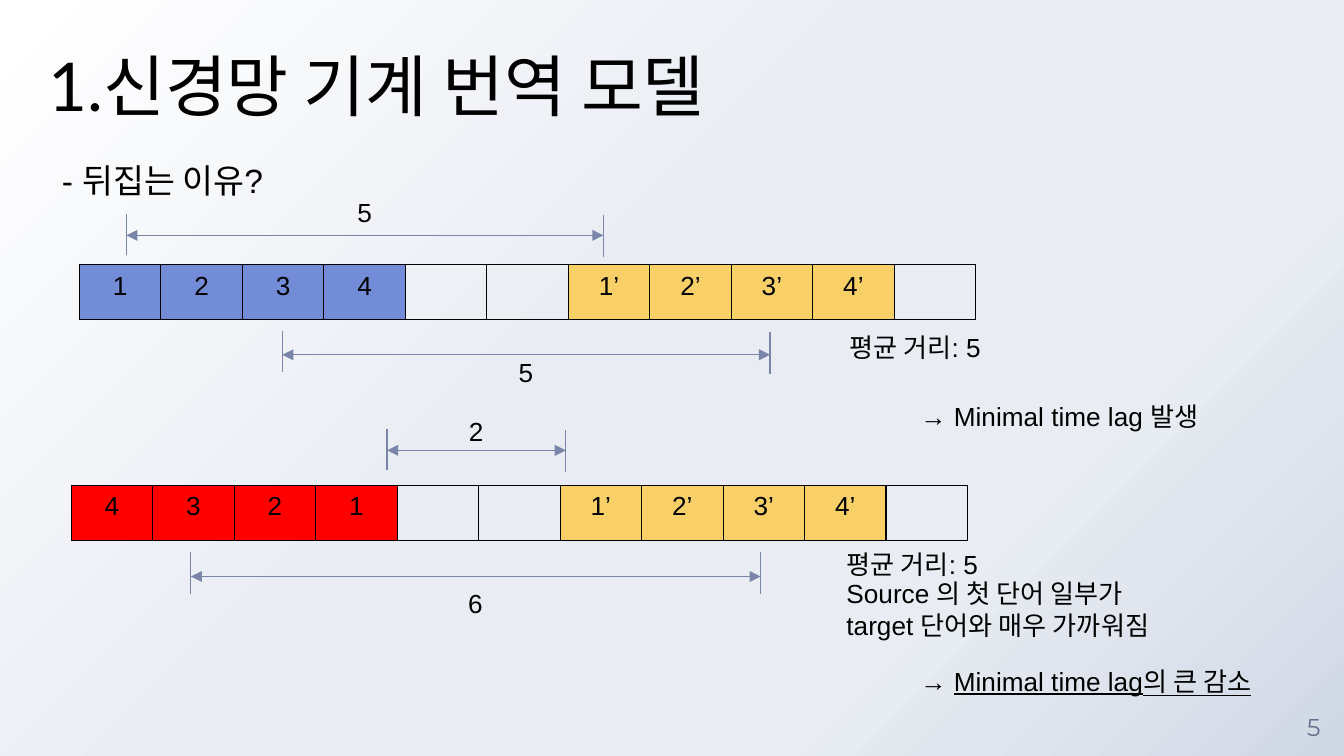
import dataclasses

import lxml.etree
import pptx
import pptx.dml.color
import pptx.enum.shapes
import pptx.enum.text
import pptx.oxml
import pptx.oxml.ns
import pptx.util

COLUMNS = 100  # square grid cells across the slide
SLIDE_WIDTH = pptx.util.Inches(10)
CELL = SLIDE_WIDTH // COLUMNS
ALIGN = pptx.enum.text.PP_ALIGN
ANCHOR = pptx.enum.text.MSO_ANCHOR
AUTO_SIZE = pptx.enum.text.MSO_AUTO_SIZE


@dataclasses.dataclass(frozen=True)
class Theme:
    ink: str = "000000"
    number: str = "68728D"
    rule: str = "7985A9"
    source: str = "728CD8"
    reversed_source: str = "FF0000"
    target: str = "F8D067"
    backdrop: tuple = ((0, "FFFFFF"), (44, "E9EDF3"), (72, "E9EDF3"), (100, "D0D8E5"))
    title_font: str = "Lato"
    text_font: str = "Arial"
    number_font: str = "Montserrat"
    title_size: int = 36
    lead_size: int = 18
    text_size: int = 14
    number_size: int = 13
    line_width: float = 0.75


THEME = Theme()


@dataclasses.dataclass(frozen=True)
class Box:
    """A rectangle in grid columns and rows."""
    left: float
    top: float
    width: float
    height: float

    def emu(self):
        return [round(value * CELL) for value in (self.left, self.top, self.width, self.height)]


def rgb(color):
    return pptx.dml.color.RGBColor.from_string(color)


def style(para, size=THEME.text_size, face=THEME.text_font, color=THEME.ink, align=ALIGN.LEFT):
    para.alignment = align
    para.font.size = pptx.util.Pt(size)
    para.font.name = face
    para.font.color.rgb = rgb(color)


def set_frame(frame, anchor, inset=None, auto_size=AUTO_SIZE.SHAPE_TO_FIT_TEXT):
    frame.word_wrap = True
    frame.auto_size = auto_size
    frame.vertical_anchor = anchor
    if inset is not None:
        frame.margin_left = frame.margin_right = inset
        frame.margin_top = frame.margin_bottom = inset


def add_text(page, box, *spans, underlined=()):
    frame = page.shapes.add_textbox(*box.emu()).text_frame
    set_frame(frame, ANCHOR.TOP)
    para = frame.paragraphs[0]
    for text in spans:
        span = para.add_run()
        span.text = text
        if text in underlined:
            span.font.underline = True
    style(para)


def paint_backdrop(page):
    page.background.fill.solid()
    stops = "".join(
        f'<a:gs pos="{share * 1000}"><a:srgbClr val="{color}"/></a:gs>'
        for share, color in THEME.backdrop)
    gradient = pptx.oxml.parse_xml(
        f'<a:gradFill {pptx.oxml.ns.nsdecls("a")} rotWithShape="1"><a:gsLst>{stops}</a:gsLst>'
        '<a:path path="circle"><a:fillToRect r="100000" b="100000"/></a:path>'
        '<a:tileRect/></a:gradFill>')
    solid = page.element.find(".//" + pptx.oxml.ns.qn("a:solidFill"))
    solid.getparent().replace(solid, gradient)


def fill_title(page, box, text):
    title = page.shapes.title
    title.left, title.top, title.width, title.height = box.emu()
    set_frame(title.text_frame, ANCHOR.BOTTOM, 0, AUTO_SIZE.NONE)
    title.text_frame.text = text
    style(title.text_frame.paragraphs[0], THEME.title_size, THEME.title_font)


def fill_lead(page, box, text):
    body = page.placeholders[1]
    body.left, body.top, body.width, body.height = box.emu()
    set_frame(body.text_frame, ANCHOR.TOP)
    body.text_frame.text = text
    para = body.text_frame.paragraphs[0]
    properties = para._p.get_or_add_pPr()
    properties.set("marL", "0")
    properties.set("indent", "0")
    lxml.etree.SubElement(properties, pptx.oxml.ns.qn("a:buNone"))
    para.space_before = pptx.util.Pt(0)
    style(para, THEME.lead_size)


def add_page_number(page, box, text):
    frame = page.shapes.add_textbox(*box.emu()).text_frame
    set_frame(frame, ANCHOR.MIDDLE, 0, AUTO_SIZE.NONE)
    frame.text = text
    style(frame.paragraphs[0], THEME.number_size, THEME.number_font, THEME.number, ALIGN.CENTER)


def border_cell(cell):
    properties = cell._tc.get_or_add_tcPr()
    for index, side in enumerate(("lnL", "lnR", "lnT", "lnB")):
        properties.insert(index, pptx.oxml.parse_xml(
            f'<a:{side} {pptx.oxml.ns.nsdecls("a")} w="{pptx.util.Pt(THEME.line_width)}">'
            f'<a:solidFill><a:srgbClr val="{THEME.ink}"/></a:solidFill></a:{side}>'))


def add_sequence(page, box, source, source_color):
    """Source words, two blanks, target words and a closing blank in one row."""
    target = ["1’", "2’", "3’", "4’"]
    words = [*source, "", "", *target, ""]
    fills = [source_color] * 4 + [None] * 2 + [THEME.target] * 4 + [None]
    table = page.shapes.add_table(1, len(words), *box.emu()).table
    table.first_row = table.horz_banding = False
    for cell, word, color in zip(table.iter_cells(), words, fills):
        if color:
            cell.fill.solid()
            cell.fill.fore_color.rgb = rgb(color)
        else:
            cell.fill.background()
        border_cell(cell)
        cell.text = word
        style(cell.text_frame.paragraphs[0], align=ALIGN.CENTER)


def add_line(page, start, end, arrows=False):
    points = [round(value * CELL) for value in (*start, *end)]
    line = page.shapes.add_connector(pptx.enum.shapes.MSO_CONNECTOR.STRAIGHT, *points)
    line.line.color.rgb = rgb(THEME.rule)
    line.line.width = pptx.util.Pt(THEME.line_width)
    if arrows:
        outline = line.line._get_or_add_ln()
        for tip in ("a:headEnd", "a:tailEnd"):
            lxml.etree.SubElement(outline, pptx.oxml.ns.qn(tip), type="triangle")
    lxml.etree.SubElement(line._element.spPr, pptx.oxml.ns.qn("a:effectLst"))


def add_distance(page, box, label, arrow_share, label_drop, right_drop=0.1):
    """A double arrow between two ticks, with its label centred on the span."""
    right, bottom = box.left + box.width, box.top + box.height
    level = box.top + arrow_share * box.height
    add_line(page, (box.left, level), (right, level), arrows=True)
    add_line(page, (box.left, box.top), (box.left, bottom))
    add_line(page, (right, box.top + right_drop), (right, bottom + right_drop))
    label_width = 3.1
    label_left = box.left + (box.width - label_width) / 2
    add_text(page, Box(label_left, box.top + label_drop, label_width, 3.4), label)


def main():
    deck = pptx.Presentation()
    deck.slide_width = SLIDE_WIDTH
    deck.slide_height = SLIDE_WIDTH * 9 // 16
    page = deck.slides.add_slide(deck.slide_layouts[1])
    paint_backdrop(page)
    fill_title(page, Box(3.6, 3, 85.2, 6.3), "1.신경망 기계 번역 모델")
    fill_lead(page, Box(3.6, 11.4, 27.5, 4), "- 뒤집는 이유?")

    add_sequence(page, Box(5.9, 19.7, 66.7, 4.1), "1234", THEME.source)
    add_distance(page, Box(9.4, 15.9, 35.5, 3.1), "5", 0.52, -1.8)
    add_distance(page, Box(21, 24.6, 36.3, 3.1), "5", 0.58, 1.4)
    add_text(page, Box(62.2, 24.2, 21.2, 3.4), "평균 거리: 5")
    add_text(page, Box(67.5, 29.3, 24.8, 3.4), "→ Minimal time lag 발생")

    add_sequence(page, Box(5.3, 36.1, 66.7, 4.1), "4321", THEME.reversed_source)
    add_distance(page, Box(28.8, 31.9, 13.3, 3.1), "2", 0.52, -1.5)
    add_distance(page, Box(14.2, 41.1, 42.4, 3.1), "6", 0.58, 2.1, right_drop=0)
    add_text(page, Box(62, 40.3, 21.2, 3.4), "평균 거리: 5")
    add_text(page, Box(62, 42.5, 26.6, 5.7), "Source 의 첫 단어 일부가 target 단어와 매우 가까워짐")
    reduction = "Minimal time lag의 큰 감소"
    add_text(page, Box(67.5, 49, 28, 3.4), "→ ", reduction, underlined=(reduction,))

    add_page_number(page, Box(95.5, 51.8, 4.5, 4.5), "5")
    deck.save("out.pptx")


if __name__ == "__main__":
    main()
